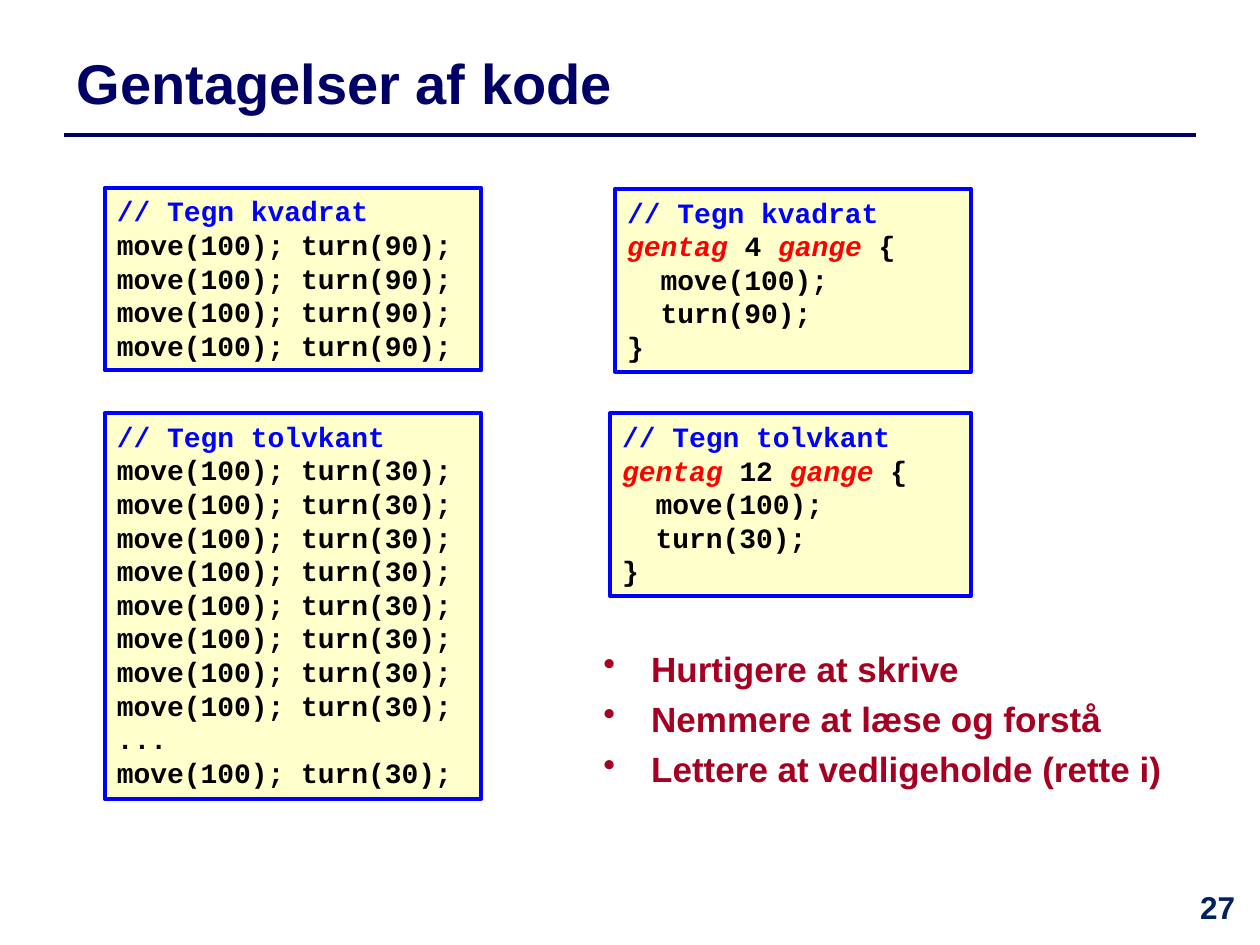
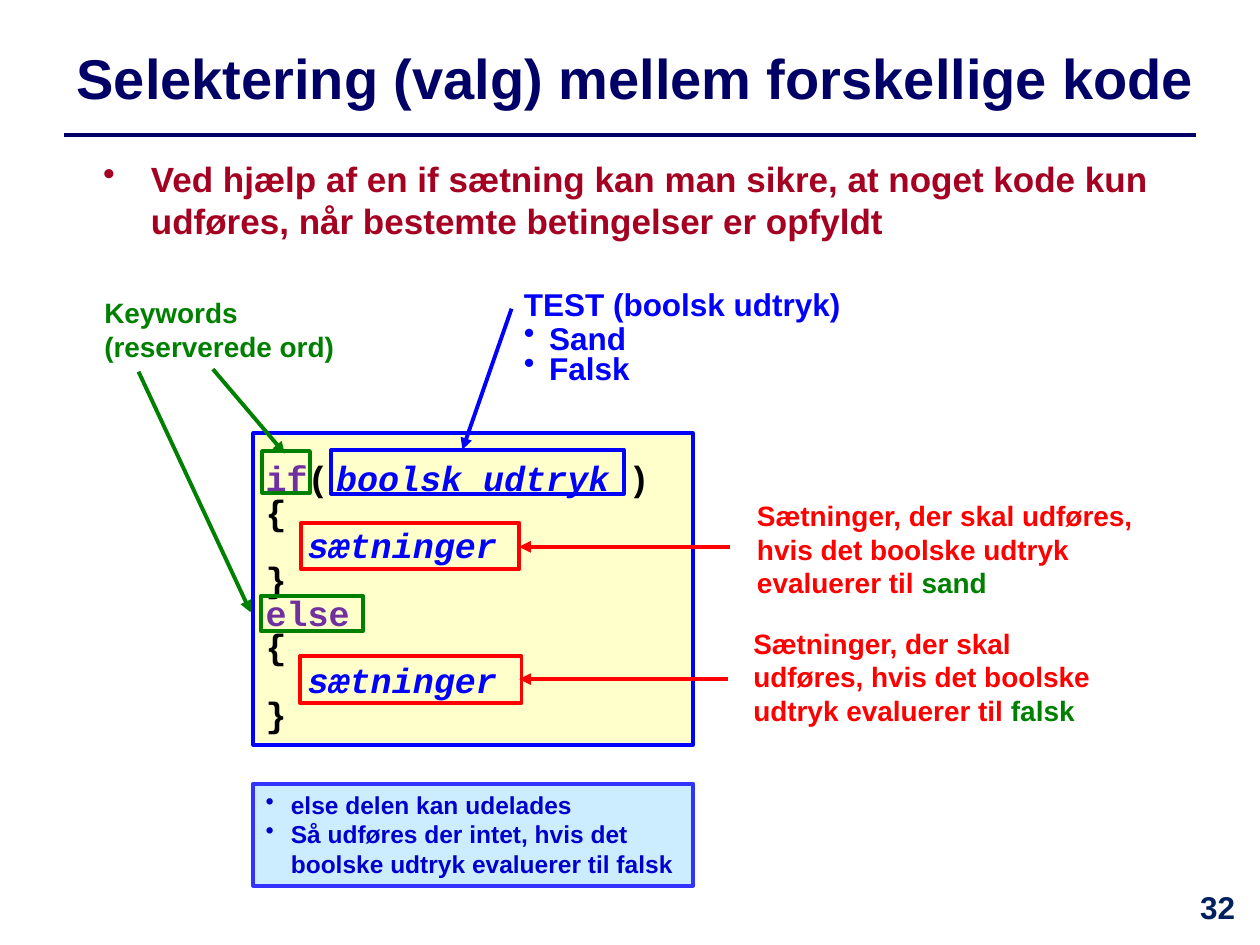
import dataclasses

import pptx
import pptx.dml.color
import pptx.enum.shapes
import pptx.enum.text
import pptx.oxml.ns
import pptx.util
from lxml import etree

Inches, Pt = pptx.util.Inches, pptx.util.Pt
ANCHOR = pptx.enum.text.MSO_ANCHOR


@dataclasses.dataclass(frozen=True)
class Theme:
    sans: str = "Arial"
    mono: str = "Courier New"
    # Colours
    navy: str = "000066"
    page: str = "002060"
    crimson: str = "A50021"
    blue: str = "0000FF"
    red: str = "FF0000"
    green: str = "008000"
    purple: str = "7030A0"
    black: str = "000000"
    cream: str = "FFFFCC"
    note_fill: str = "CCECFF"
    note_line: str = "3333FF"
    note_text: str = "0000CC"
    # Type sizes and line widths in points
    title_size: int = 32
    body_size: int = 20
    heading_size: int = 18
    label_size: int = 16
    note_size: int = 14
    thin_gap: int = 7
    rule: float = 2
    border: float = 2.25


THEME = Theme()


@dataclasses.dataclass(frozen=True)
class Box:
    left: float
    top: float
    width: float
    height: float

    def inner(self, dx, dy, width, height):
        return Box(self.left + dx, self.top + dy, width, height)

    def point(self, dx, dy):
        return self.left + dx, self.top + dy

    def lengths(self):
        return [Inches(v) for v in dataclasses.astuple(self)]


# Text building blocks
def rgb(colour):
    return pptx.dml.color.RGBColor.from_string(colour)


def set_attributes(target, values):
    for name, value in values.items():
        setattr(target, name, value)


def sans(text, size, colour):
    return text, colour, {"name": THEME.sans, "size": Pt(size), "bold": True}


def mono(text, colour=THEME.black, size=THEME.label_size, italic=False):
    return text, colour, {"name": THEME.mono, "size": Pt(size),
                          "bold": True, "italic": italic}


def para(*runs, indent=0, **spacing):
    return runs, indent, spacing


def bullet(text, size, colour, indent, **spacing):
    return para(sans(text, size, colour), indent=indent, **spacing)


def write_text(frame, paragraphs, anchor=ANCHOR.TOP, align=pptx.enum.text.PP_ALIGN.LEFT):
    set_attributes(frame, {"word_wrap": True, "vertical_anchor": anchor})
    for number, (runs, indent, spacing) in enumerate(paragraphs):
        paragraph = frame.add_paragraph() if number else frame.paragraphs[0]
        set_attributes(paragraph, {"alignment": align, **spacing})
        if indent:
            properties = paragraph._p.get_or_add_pPr()
            properties.set("marL", str(Inches(indent)))
            properties.set("indent", str(-Inches(indent)))
            etree.SubElement(properties, pptx.oxml.ns.qn("a:buChar"), char="•")
        for text, colour, font in runs:
            run = paragraph.add_run()
            run.text = text
            set_attributes(run.font, font)
            run.font.color.rgb = rgb(colour)


def add_text(slide, box, paragraphs, **layout):
    write_text(slide.shapes.add_textbox(*box.lengths()).text_frame, paragraphs, **layout)


# Drawn building blocks
def add_panel(slide, box, line, fill=None, paragraphs=()):
    panel = slide.shapes.add_shape(pptx.enum.shapes.MSO_SHAPE.RECTANGLE, *box.lengths())
    panel.shadow.inherit = False
    if fill:
        panel.fill.solid()
        panel.fill.fore_color.rgb = rgb(fill)
    else:
        panel.fill.background()
    panel.line.color.rgb = rgb(line)
    panel.line.width = Pt(THEME.border)
    write_text(panel.text_frame, paragraphs)


def add_line(slide, start, end, colour, width=THEME.border, arrow=True):
    line = slide.shapes.add_connector(pptx.enum.shapes.MSO_CONNECTOR.STRAIGHT,
                                      *[Inches(v) for v in (*start, *end)])
    line.line.color.rgb = rgb(colour)
    line.line.width = Pt(width)
    if arrow:
        etree.SubElement(line.line._get_or_add_ln(), pptx.oxml.ns.qn("a:tailEnd"),
                         type="triangle")
    etree.SubElement(line._element.spPr, pptx.oxml.ns.qn("a:effectLst"))


# Shared regions
def add_header(slide, box, title):
    add_line(slide, (0.51, 1.07), (9.49, 1.07), THEME.navy, THEME.rule, arrow=False)
    add_text(slide, box, [para(sans(title, THEME.title_size, THEME.navy))],
             anchor=ANCHOR.MIDDLE)


def add_page_number(slide, box, number):
    add_text(slide, box, [para(sans(str(number), THEME.heading_size, THEME.page))],
             align=pptx.enum.text.PP_ALIGN.CENTER)


def add_bullets(slide, box, texts):
    add_text(slide, box, [bullet(text, THEME.body_size, THEME.crimson, 0.38,
                                 space_before=Pt(4.6)) for text in texts])


def start_slide(deck, title_box, title, number):
    slide = deck.slides.add_slide(deck.slide_layouts[6])
    add_header(slide, title_box, title)
    add_page_number(slide, Box(9.33, 7, 0.67, 0.5), number)
    return slide


# Code panels for repetition
def add_code(slide, box, comment, lines):
    add_panel(slide, box, THEME.blue, THEME.cream,
              [para(mono(comment, THEME.blue)), *lines])


def add_unrolled(slide, box, comment, steps):
    add_code(slide, box, comment, [para(mono(step)) for step in steps])


def add_loop(slide, box, comment, count, angle):
    head = para(mono("gentag ", THEME.red, italic=True), mono(f"{count} "),
                mono("gange ", THEME.red, italic=True), mono("{"))
    body = ["  move(100);", f"  turn({angle});", "}"]
    add_code(slide, box, comment, [head, *[para(mono(line)) for line in body]])


def build_repetition(deck):
    slide = start_slide(deck, Box(0.51, 0.28, 8.98, 0.75), "Gentagelser af kode", 27)
    square, dodecagon = "// Tegn kvadrat", "// Tegn tolvkant"
    step = "move(100); turn({});"
    add_unrolled(slide, Box(0.83, 1.49, 2.99, 1.45), square, [step.format(90)] * 4)
    add_loop(slide, Box(4.88, 1.5, 2.83, 1.45), square, 4, 90)
    add_loop(slide, Box(4.84, 3.28, 2.87, 1.45), dodecagon, 12, 30)
    add_unrolled(slide, Box(0.83, 3.28, 2.99, 3.06), dodecagon,
                 [step.format(30)] * 8 + ["...", step.format(30)])
    add_bullets(slide, Box(4.69, 5.09, 5.07, 1.38),
                ["Hurtigere at skrive", "Nemmere at læse og forstå",
                 "Lettere at vedligeholde (rette i)"])


# Annotated if/else statement
def add_if_code(slide, box):
    def code(text, colour=THEME.black, size=THEME.body_size, italic=False):
        return mono(text, colour, size, italic)

    def line(*runs):
        return para(*runs, line_spacing=0.8)

    block = [line(code("{")),
             line(code("  "), code("sætninger", THEME.blue, italic=True)),
             line(code("}"))]
    head = para(code("if", THEME.purple), code("("), code(" ", size=THEME.thin_gap),
                code("boolsk udtryk", THEME.blue, italic=True),
                code(" ", size=THEME.heading_size), code(")"), line_spacing=1.4)
    add_panel(slide, box, THEME.blue, THEME.cream,
              [head, *block, line(code("else", THEME.purple)), *block])


def add_if_labels(slide, box):
    def test_value(text, **spacing):
        return bullet(text, THEME.heading_size, THEME.blue, 0.2,
                      line_spacing=0.8, **spacing)

    add_text(slide, box.inner(2.05, -1.23, 3.31, 0.96),
             [para(sans("TEST (boolsk udtryk)", THEME.heading_size, THEME.blue)),
              test_value("Sand", space_before=Pt(2)), test_value("Falsk")])
    add_text(slide, box.inner(-1.28, -1.14, 2.17, 0.68),
             [para(sans("Keywords (reserverede ord)", THEME.label_size, THEME.green))])
    branch = "Sætninger, der skal udføres, hvis det boolske udtryk evaluerer til "
    for place, outcome in [((3.9, 0.47, 3.26, 0.95), "sand"),
                           ((3.87, 1.48, 2.88, 0.86), "falsk")]:
        add_text(slide, box.inner(*place),
                 [para(sans(branch, THEME.label_size, THEME.red),
                       sans(outcome, THEME.label_size, THEME.green))])


def add_if_marks(slide, box):
    # Each mark: colour, frame, arrow start, arrow end
    marks = [
        (THEME.green, (0.07, 0.14, 0.38, 0.33), (-0.32, -0.51), (0.25, 0.16)),
        (THEME.blue, (0.62, 0.13, 2.32, 0.35), (2.05, -0.99), (1.66, 0.13)),
        (THEME.red, (0.38, 0.71, 1.73, 0.37), (3.78, 0.9), (2.11, 0.9)),
        (THEME.green, (0.06, 1.29, 0.81, 0.28), (-0.91, -0.49), (-0.02, 1.42)),
        (THEME.red, (0.37, 1.77, 1.76, 0.37), (3.77, 1.95), (2.11, 1.95)),
    ]
    for colour, frame, start, end in marks:
        add_panel(slide, box.inner(*frame), colour)
        add_line(slide, box.point(*start), box.point(*end), colour)


def add_else_note(slide, box):
    remarks = ["else delen kan udelades",
               "Så udføres der intet, hvis det boolske udtryk evaluerer til falsk"]
    add_panel(slide, box, THEME.note_line, THEME.note_fill,
              [bullet(text, THEME.note_size, THEME.note_text, 0.2) for text in remarks])


def build_selection(deck):
    slide = start_slide(deck, Box(0.51, 0.24, 9.37, 0.75),
                        "Selektering (valg) mellem forskellige kode", 32)
    add_bullets(slide, Box(0.72, 1.2, 8.77, 0.77),
                ["Ved hjælp af en if sætning kan man sikre, at noget kode kun "
                 "udføres, når bestemte betingelser er opfyldt"])
    statement = Box(2.01, 3.44, 3.49, 2.47)
    for add_part in (add_if_code, add_if_labels, add_if_marks):
        add_part(slide, statement)
    add_else_note(slide, statement.inner(0, 2.78, statement.width, 0.81))


def main():
    deck = pptx.Presentation()
    set_attributes(deck, {"slide_width": Inches(10), "slide_height": Inches(7.5)})
    build_repetition(deck)
    build_selection(deck)
    deck.save("out.pptx")


if __name__ == "__main__":
    main()
